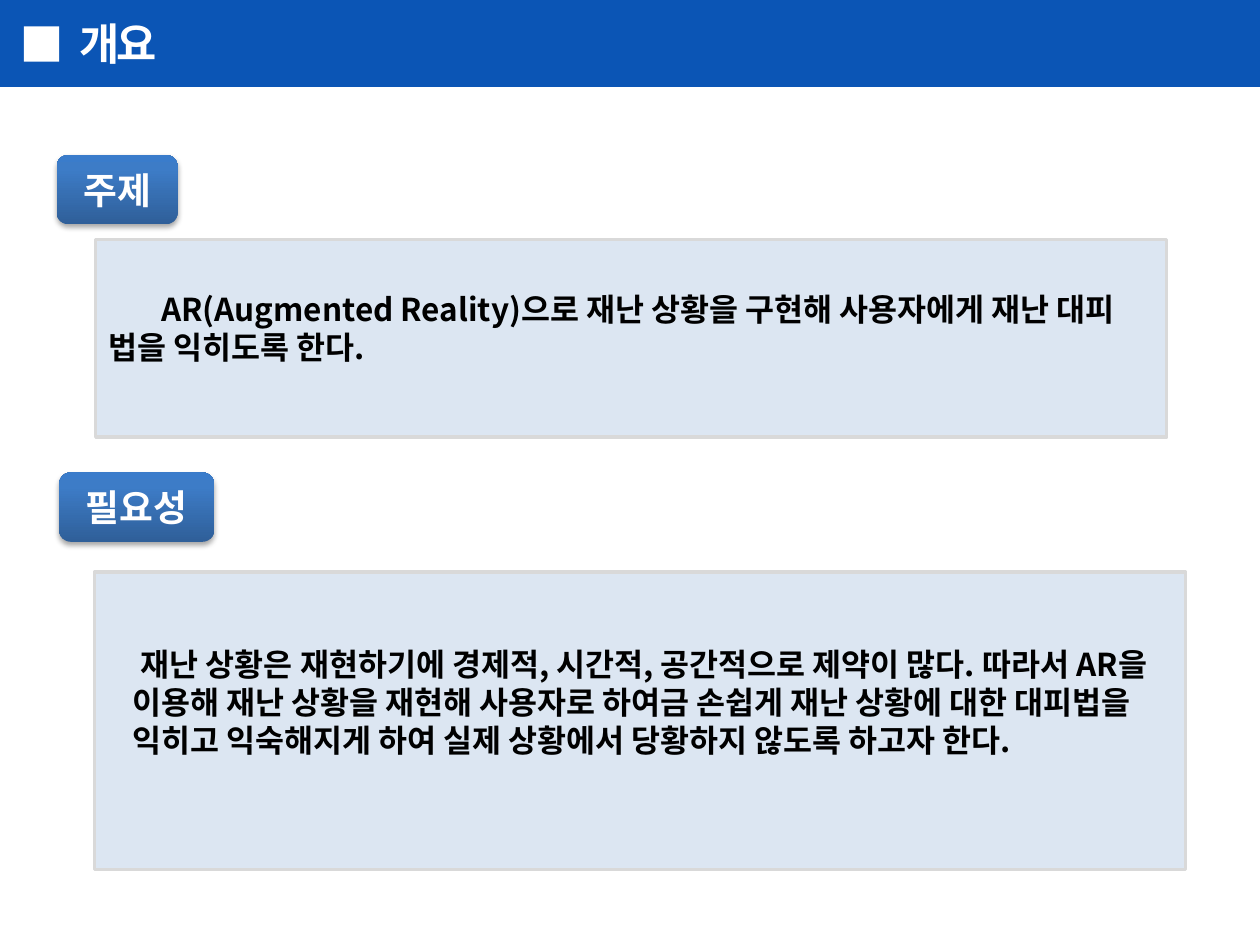
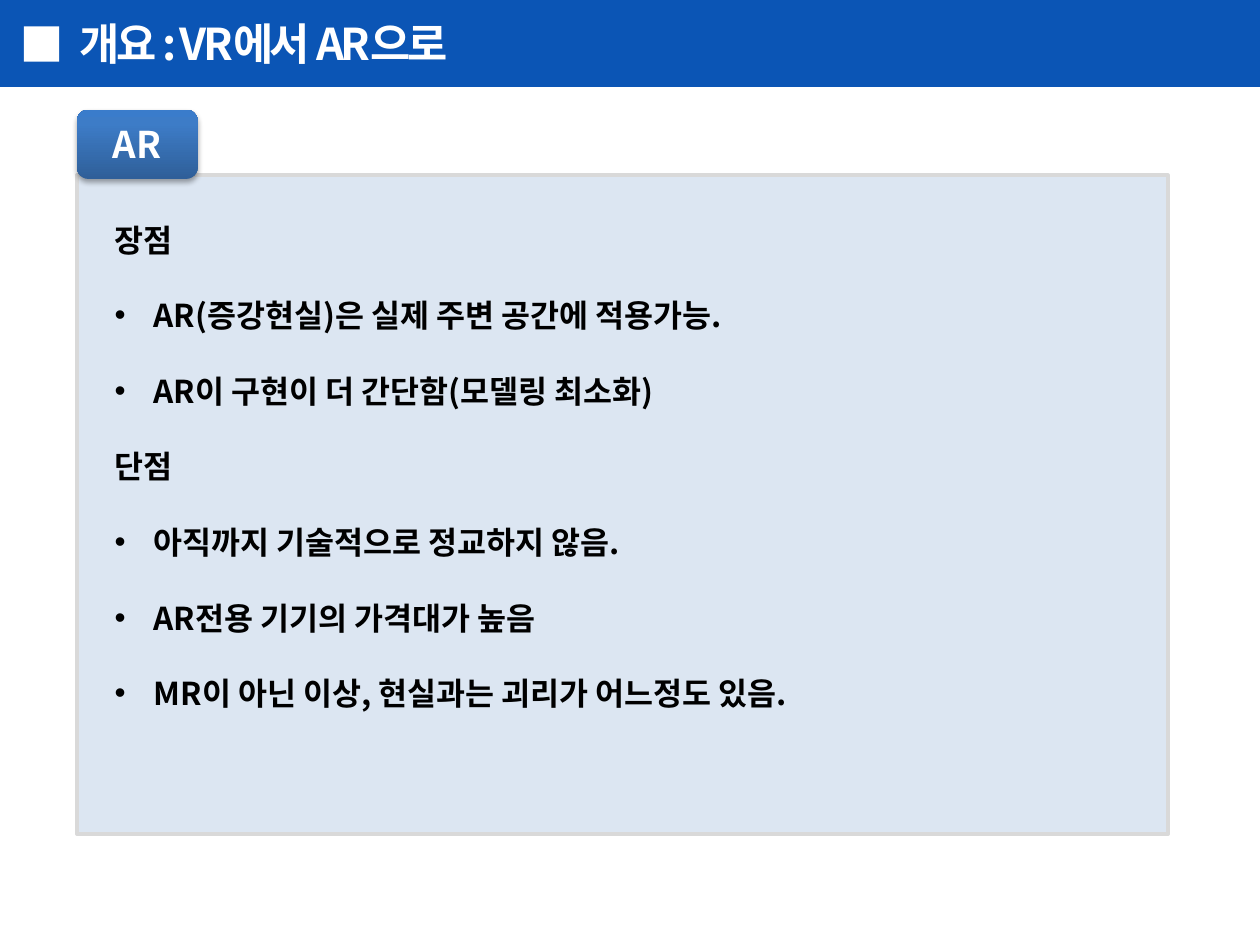
"""Builds two overview slides about an AR disaster-training project."""
from lxml import etree
from pptx import Presentation
from pptx.dml.color import RGBColor
from pptx.enum.shapes import MSO_SHAPE
from pptx.enum.text import MSO_ANCHOR, MSO_AUTO_SIZE, PP_ALIGN
from pptx.oxml import parse_xml
from pptx.oxml.ns import nsdecls, qn
from pptx.util import Inches, Pt

FONT = "Noto Sans CJK KR"
WHITE = RGBColor(0xFF, 0xFF, 0xFF)
BLACK = RGBColor(0x00, 0x00, 0x00)
BAND_BLUE = RGBColor(0x0B, 0x55, 0xB5)
PANEL_BLUE = RGBColor(0xDC, 0xE6, 0xF2)
PANEL_EDGE = RGBColor(0xD9, 0xD9, 0xD9)
TAG_DARK = RGBColor(0x2F, 0x5F, 0x99)
TAG_MID = RGBColor(0x3D, 0x7C, 0xC7)
TAG_LIGHT = RGBColor(0x3A, 0x7C, 0xCB)
RECT, ROUNDED = MSO_SHAPE.RECTANGLE, MSO_SHAPE.ROUNDED_RECTANGLE
TOP, MIDDLE = MSO_ANCHOR.TOP, MSO_ANCHOR.MIDDLE
LEFT, CENTER = PP_ALIGN.LEFT, PP_ALIGN.CENTER
NO_AUTOFIT = MSO_AUTO_SIZE.NONE
CONTENT_LAYOUT, TITLE_LAYOUT = 1, 5
LINE_PITCH = Pt(21.6)


class Deck:
    """Holds the shared style and the current slide."""

    def __init__(self):
        self.prs = Presentation()
        self.prs.slide_width, self.prs.slide_height = Inches(10), Inches(7.5)
        self.slide = None

    def new_slide(self, title, layout):
        first = self.slide is None
        self.slide = self.prs.slides.add_slide(self.prs.slide_layouts[layout])
        if first:
            self.header_on_master()
        heading = self.slide.shapes.title
        self.place(heading, 0.63, 0.13, 9.25, 0.42)
        frame = self.frame(heading, MIDDLE, (0, 0, 0, 0))
        frame.paragraphs[0].alignment = LEFT
        run = self.run(frame.paragraphs[0], title, 25, WHITE)
        run.font._element.set("spc", "-200")

    def header_on_master(self):
        band = self.box(RECT, 0, 0, 10, 0.69, BAND_BLUE)
        marker = self.box(RECT, 0.19, 0.21, 0.28, 0.28, WHITE)
        tree = self.prs.slide_master.shapes.element
        for position, part in enumerate((band, marker)):
            part.element.nvSpPr.cNvPr.set("id", str(101 + position))
            tree.insert(2 + position, part.element)

    def place(self, shape, left, top, width, height):
        shape.left, shape.top = Inches(left), Inches(top)
        shape.width, shape.height = Inches(width), Inches(height)

    def box(self, kind, left, top, width, height, fill):
        shape = self.slide.shapes.add_shape(
            kind, Inches(left), Inches(top), Inches(width), Inches(height))
        shape.shadow.inherit = False
        shape.fill.solid()
        shape.fill.fore_color.rgb = fill
        shape.line.fill.background()
        return shape

    def frame(self, shape, anchor, insets):
        frame = shape.text_frame
        frame.word_wrap, frame.auto_size = True, NO_AUTOFIT
        frame.vertical_anchor = anchor
        (frame.margin_left, frame.margin_top,
         frame.margin_right, frame.margin_bottom) = map(Inches, insets)
        return frame

    def run(self, paragraph, text, size, color):
        run = paragraph.add_run()
        run.text = text
        run.font.name, run.font.size, run.font.bold = FONT, Pt(size), True
        run.font.color.rgb = color
        run.font._element.set("kern", "0")
        east_asian = etree.SubElement(run.font._element, qn("a:ea"))
        east_asian.set("typeface", FONT)
        return run

    def tag(self, text, left, top, width=0.96):
        tag = self.box(ROUNDED, left, top, width, 0.55, TAG_MID)
        stops = "".join(
            f'<a:gs pos="{pos}000"><a:srgbClr val="{color}"/></a:gs>'
            for pos, color in ((0, TAG_DARK), (80, TAG_MID), (100, TAG_LIGHT)))
        gradient = parse_xml(
            f'<a:gradFill {nsdecls("a")}><a:gsLst>{stops}</a:gsLst>'
            '<a:lin ang="16200000" scaled="0"/></a:gradFill>')
        properties = tag.element.spPr
        properties.replace(properties.find(qn("a:solidFill")), gradient)
        properties.find(qn("a:effectLst")).append(parse_xml(
            f'<a:outerShdw {nsdecls("a")} blurRad="40000" dist="23000" '
            'dir="5400000" rotWithShape="0"><a:srgbClr val="000000">'
            '<a:alpha val="35000"/></a:srgbClr></a:outerShdw>'))
        frame = self.frame(tag, MIDDLE, (0.1, 0.05, 0.1, 0.05))
        frame.paragraphs[0].alignment = CENTER
        self.run(frame.paragraphs[0], text, 21, WHITE)

    def outline(self, shape):
        shape.fill.solid()
        shape.fill.fore_color.rgb = PANEL_BLUE
        shape.line.color.rgb = PANEL_EDGE
        shape.line.width = Pt(2)

    def indent(self, paragraph, margin, first, bullet=None):
        properties = paragraph._p.get_or_add_pPr()
        properties.set("marL", str(Inches(margin)))
        properties.set("indent", str(Inches(first)))
        if bullet:
            etree.SubElement(properties, qn("a:buFont")).set("typeface", "Arial")
            etree.SubElement(properties, qn("a:buChar")).set("char", bullet)
        else:
            etree.SubElement(properties, qn("a:buNone"))

    def panel(self, text, bounds, inset_top, margin, first):
        panel = self.box(RECT, *bounds, PANEL_BLUE)
        self.outline(panel)
        paragraph = self.frame(panel, TOP, (0.1, inset_top, 0.2, 0.05)).paragraphs[0]
        paragraph.alignment, paragraph.line_spacing = LEFT, LINE_PITCH
        self.indent(paragraph, margin, first)
        self.run(paragraph, text, 18, BLACK)

    def list_panel(self, groups, bounds, inset_top):
        body = self.slide.placeholders[1]
        self.place(body, *bounds)
        self.outline(body)
        frame = self.frame(body, TOP, (0.1, inset_top, 0.1, 0.05))
        rows = [(text, text != heading)
                for heading, points in groups.items() for text in (heading, *points)]
        for number, (text, is_point) in enumerate(rows):
            paragraph = frame.add_paragraph() if number else frame.paragraphs[0]
            paragraph.line_spacing = paragraph.space_after = LINE_PITCH
            paragraph.space_before = Pt(0)
            if is_point:
                self.indent(paragraph, 0.51, -0.31, "•")
            else:
                self.indent(paragraph, 0.2, 0)
            self.run(paragraph, text, 18, BLACK)


def main():
    deck = Deck()

    deck.new_slide("개요", TITLE_LAYOUT)
    deck.tag("주제", 0.45, 1.23)
    deck.tag("필요성", 0.47, 3.75, 1.23)
    deck.panel("재난 상황은 재현하기에 경제적, 시간적, 공간적으로 제약이 많다. "
               "따라서 AR을 이용해 재난 상황을 재현해 사용자로 하여금 손쉽게 "
               "재난 상황에 대한 대피법을 익히고 익숙해지게 하여 실제 상황에서 "
               "당황하지 않도록 하고자 한다.",
               (0.75, 4.54, 8.66, 2.36), 0.58, 0.2, 0.07)
    deck.panel("AR(Augmented Reality)으로 재난 상황을 구현해 사용자에게 "
               "재난 대피 법을 익히도록 한다.",
               (0.76, 1.9, 8.5, 1.57), 0.4, 0, 0.42)

    deck.new_slide("개요 : VR에서 AR으로", CONTENT_LAYOUT)
    deck.list_panel({
        "장점": ("AR(증강현실)은 실제 주변 공간에 적용가능.",
               "AR이 구현이 더 간단함(모델링 최소화)"),
        "단점": ("아직까지 기술적으로 정교하지 않음.",
               "AR전용 기기의 가격대가 높음",
               "MR이 아닌 이상, 현실과는 괴리가 어느정도 있음."),
    }, (0.61, 1.39, 8.66, 5.23), 0.36)
    deck.tag("AR", 0.61, 0.87)

    deck.prs.save("out.pptx")


if __name__ == "__main__":
    main()
